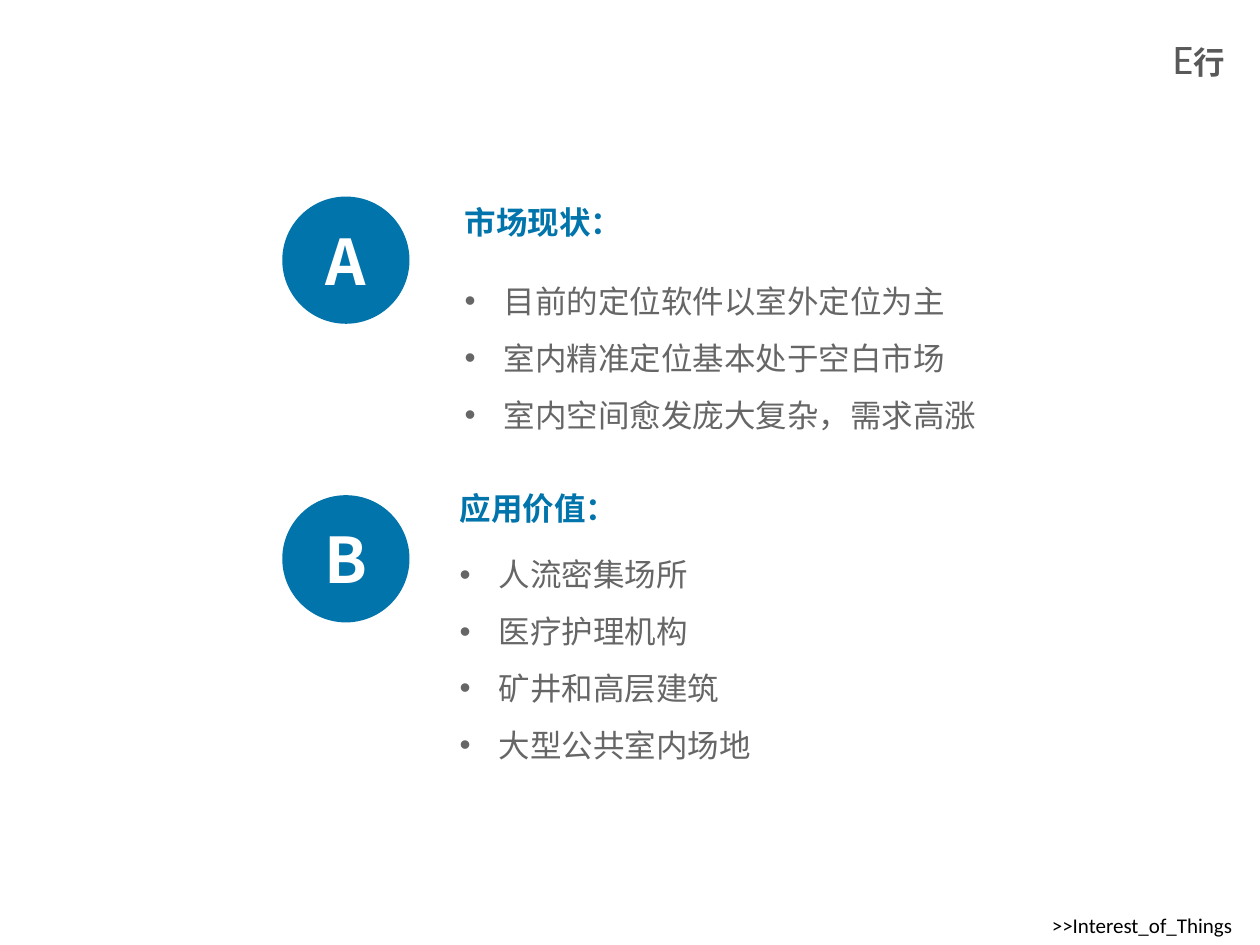
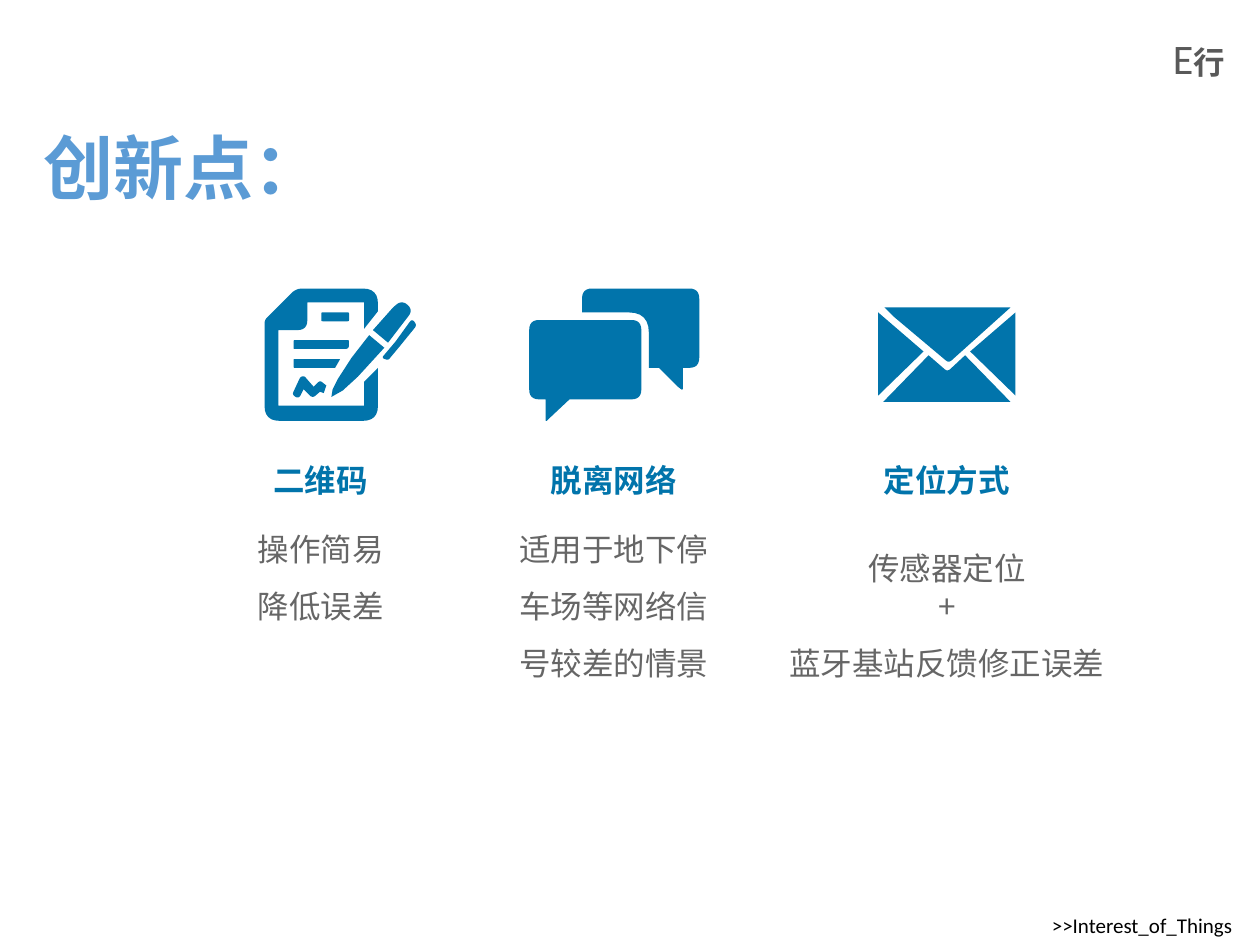
from dataclasses import dataclass
from math import dist

from lxml import etree
from pptx import Presentation
from pptx import util as u
from pptx.dml.color import RGBColor
from pptx.enum import shapes, text
from pptx.oxml.ns import qn

ALIGN = text.PP_ALIGN


@dataclass(frozen=True)
class Theme:
    blue: str = "0174AB"
    light_blue: str = "5B9BD5"
    grey: str = "666666"
    dark_grey: str = "595959"
    black: str = "000000"
    white: str = "FFFFFF"
    latin: str = "Calibri"
    cjk: str = "Noto Sans CJK SC"
    title: int = 40
    letter: int = 36
    brand: int = 24
    body: int = 18
    footer: int = 12


THEME = Theme()

# Outlines are lists of corners: x, y and, where rounded, the corner radius.
DOCUMENT = [
    [(2.89, 2.61), (2.89, 2.4), (2.44, 2.4), (2.44, 2.62, .08), (2.21, 2.62),
     (2.21, 3.22), (2.89, 3.22), (2.89, 3.03), (3, 2.92), (3, 3.34, .12),
     (2.1, 3.34, .12), (2.1, 2.54, .03), (2.35, 2.29, .05), (3, 2.29, .12),
     (3, 2.47)],
    [(2.55, 2.48, .01), (2.77, 2.48, .01), (2.77, 2.55, .01), (2.55, 2.55, .01)],
    [(2.33, 2.7, .01), (2.77, 2.7, .01), (2.77, 2.77, .03), (2.33, 2.77, .01)],
    [(2.33, 2.85, .01), (2.7, 2.85), (2.66, 2.92), (2.33, 2.92, .01)],
    [(2.32, 3.13, .02), (2.39, 2.98, .03), (2.42, 2.99), (2.49, 3.07),
     (2.54, 3.02, .02), (2.59, 3.06), (2.57, 3.12), (2.54, 3.11),
     (2.48, 3.16, .03), (2.41, 3.09), (2.37, 3.17, .04)],
]
PEN = [
    [(2.93, 2.66), (3.05, 2.76), (2.84, 2.99), (2.72, 3.1), (2.63, 3.15),
     (2.64, 3.09), (2.68, 3.01), (2.79, 2.84)],
    [(2.96, 2.62), (3.12, 2.44), (3.19, 2.38, .06), (3.28, 2.46, .06),
     (3.08, 2.72)],
    [(3.27, 2.53, .03), (3.31, 2.58, .03), (3.18, 2.74), (3.08, 2.86, .02),
     (3.03, 2.84, .02), (3.14, 2.71)],
]
BUBBLES = [
    [(4.2, 2.54, .08), (5.09, 2.54, .08), (5.09, 3.17, .08), (4.52, 3.17),
     (4.36, 3.32), (4.33, 3.35, .02), (4.33, 3.17), (4.2, 3.17, .08)],
    [(4.62, 2.29, .08), (5.55, 2.29, .08), (5.55, 2.92, .08), (5.42, 2.92),
     (5.42, 3.1, .02), (5.38, 3.07), (5.23, 2.92), (5.15, 2.92),
     (5.15, 2.48, .16), (4.62, 2.48)],
]
ENVELOPE = [
    [(7.02, 2.44), (8.02, 2.44), (7.53, 2.88, .03), (7.09, 2.51)],
    [(7.37, 2.82), (7.52, 2.95, .03), (7.66, 2.82), (8.02, 3.19), (7.01, 3.19)],
    [(6.97, 2.48), (7.33, 2.79), (6.97, 3.14)],
    [(8.06, 2.48), (7.7, 2.79), (8.06, 3.14)],
]


def rounded(corners, steps=6):
    """Return the points of a closed outline, each corner bent by its radius."""
    points = []
    for i, (x, y, *radius) in enumerate(corners):
        if not radius:
            points.append((x, y))
            continue
        ends = []
        for px, py, *_ in (corners[i - 1], corners[(i + 1) % len(corners)]):
            share = radius[0] / dist((x, y), (px, py))
            ends.append((x + (px - x) * share, y + (py - y) * share))
        for step in range(steps + 1):
            t = step / steps
            points.append(tuple(
                (1 - t) ** 2 * a + 2 * t * (1 - t) * c + t ** 2 * b
                for a, c, b in zip(ends[0], (x, y), ends[1])))
    return points


class Deck:
    def __init__(self, theme):
        self.theme = theme
        self.prs = Presentation()
        self.prs.slide_width, self.prs.slide_height = u.Inches(10), u.Inches(7.5)
        self.s = None

    def new_slide(self):
        """Add a slide with the brand mark and the footer."""
        t = self.theme
        self.s = self.prs.slides.add_slide(self.prs.slide_layouts[6])
        tf = self.text((9.21, .21, 1.06, .5), ["E"], size=t.brand,
                       color=t.dark_grey, font=t.latin)
        self.run(tf.paragraphs[0], "行", t.body, t.dark_grey, True, t.latin)
        self.text((8.25, 7.19, 1.8, .3), [">>Interest_of_Things"],
                  size=t.footer, color=t.black, font=t.latin)

    def run(self, p, words, size, color, bold, font):
        r = p.add_run()
        r.text = words
        for name, value in {"size": u.Pt(size), "bold": bold, "name": font}.items():
            setattr(r.font, name, value)
        r.font.color.rgb = RGBColor.from_string(color)
        ea = etree.SubElement(r.font._element, qn("a:ea"))
        ea.set("typeface", self.theme.cjk)

    def bullet(self, p):
        pPr = p._p.get_or_add_pPr()
        pPr.set("marL", str(u.Inches(.31)))
        pPr.set("indent", str(u.Inches(-.31)))
        etree.SubElement(pPr, qn("a:buFont")).set("typeface", "Arial")
        etree.SubElement(pPr, qn("a:buChar")).set("char", "•")

    def fill_text(self, tf, lines, size, color, bold=False, font=None,
                  align=ALIGN.LEFT, spacing=None, bullets=False):
        tf.word_wrap = True
        for i, line in enumerate(lines):
            p = tf.add_paragraph() if i else tf.paragraphs[0]
            p.alignment = align
            # A lone plus sign sits tight between its neighbours.
            p.line_spacing = None if line == "+" else spacing
            if bullets:
                self.bullet(p)
            self.run(p, line, size, color, bold, font or self.theme.cjk)
        return tf

    def text(self, box, lines, **style):
        sp = self.s.shapes.add_textbox(*map(u.Inches, box))
        return self.fill_text(sp.text_frame, lines, **style)

    def heading(self, box, words, align=ALIGN.LEFT):
        t = self.theme
        self.text(box, [words], size=t.body, color=t.blue, bold=True, align=align)

    def body(self, box, lines, **style):
        t = self.theme
        self.text(box, lines, size=t.body, color=t.grey, spacing=1.5, **style)

    def paint(self, sp):
        sp.shadow.inherit = False
        sp.fill.solid()
        sp.fill.fore_color.rgb = RGBColor.from_string(self.theme.blue)
        sp.line.fill.background()

    def badge(self, x, y, letter):
        t = self.theme
        sp = self.s.shapes.add_shape(
            shapes.MSO_SHAPE.OVAL, *map(u.Inches, (x, y, 1.01, 1.01)))
        self.paint(sp)
        tf = self.fill_text(sp.text_frame, [letter], t.letter, t.white, True,
                            align=ALIGN.CENTER)
        tf.vertical_anchor = text.MSO_ANCHOR.MIDDLE

    def icon(self, outlines):
        for corners in outlines:
            start, *rest = [tuple(map(u.Inches, pt)) for pt in rounded(corners)]
            builder = self.s.shapes.build_freeform(*start)
            builder.add_line_segments(rest, close=True)
            self.paint(builder.convert_to_shape())


def market_slide(deck):
    deck.new_slide()
    sections = [
        ("A", 1.56, "市场现状：", (3.59, 1.56, 2.37, .4), (3.59, 2.04, 6.16, 1.75),
         ["目前的定位软件以室外定位为主", "室内精准定位基本处于空白市场",
          "室内空间愈发庞大复杂，需求高涨"]),
        ("B", 3.93, "应用价值：", (3.55, 3.83, 2.38, .4), (3.55, 4.21, 4.69, 1.9),
         ["人流密集场所", "医疗护理机构", "矿井和高层建筑", "大型公共室内场地"]),
    ]
    for letter, badge_y, title, title_box, list_box, items in sections:
        deck.badge(2.24, badge_y, letter)
        deck.body(list_box, items, align=ALIGN.JUSTIFY, bullets=True)
        deck.heading(title_box, title)


def innovation_slide(deck):
    deck.new_slide()
    t = deck.theme
    deck.text((.14, .94, 2.63, .77), ["创新点："], size=t.title,
              color=t.light_blue, bold=True, font=t.latin, align=ALIGN.CENTER)
    columns = [
        (DOCUMENT + PEN, "二维码", (1.99, 3.61, 1.11, .4), (1.59, 4.01, 1.91, 1.3),
         ["操作简易", "降低误差"]),
        (BUBBLES, "脱离网络", (4.16, 3.61, 1.42, .4), (3.94, 4.01, 1.86, 1.45),
         ["适用于地下停车场等网络信号较差的情景"]),
        (ENVELOPE, "定位方式", (6.86, 3.61, 1.31, .4), (5.81, 4.16, 3.41, 1.3),
         ["传感器定位", "+", "蓝牙基站反馈修正误差"]),
    ]
    for outlines, title, title_box, body_box, lines in columns:
        deck.icon(outlines)
        deck.heading(title_box, title, ALIGN.CENTER)
        deck.body(body_box, lines, align=ALIGN.CENTER)


def main():
    deck = Deck(THEME)
    market_slide(deck)
    innovation_slide(deck)
    deck.prs.save("out.pptx")


if __name__ == "__main__":
    main()
